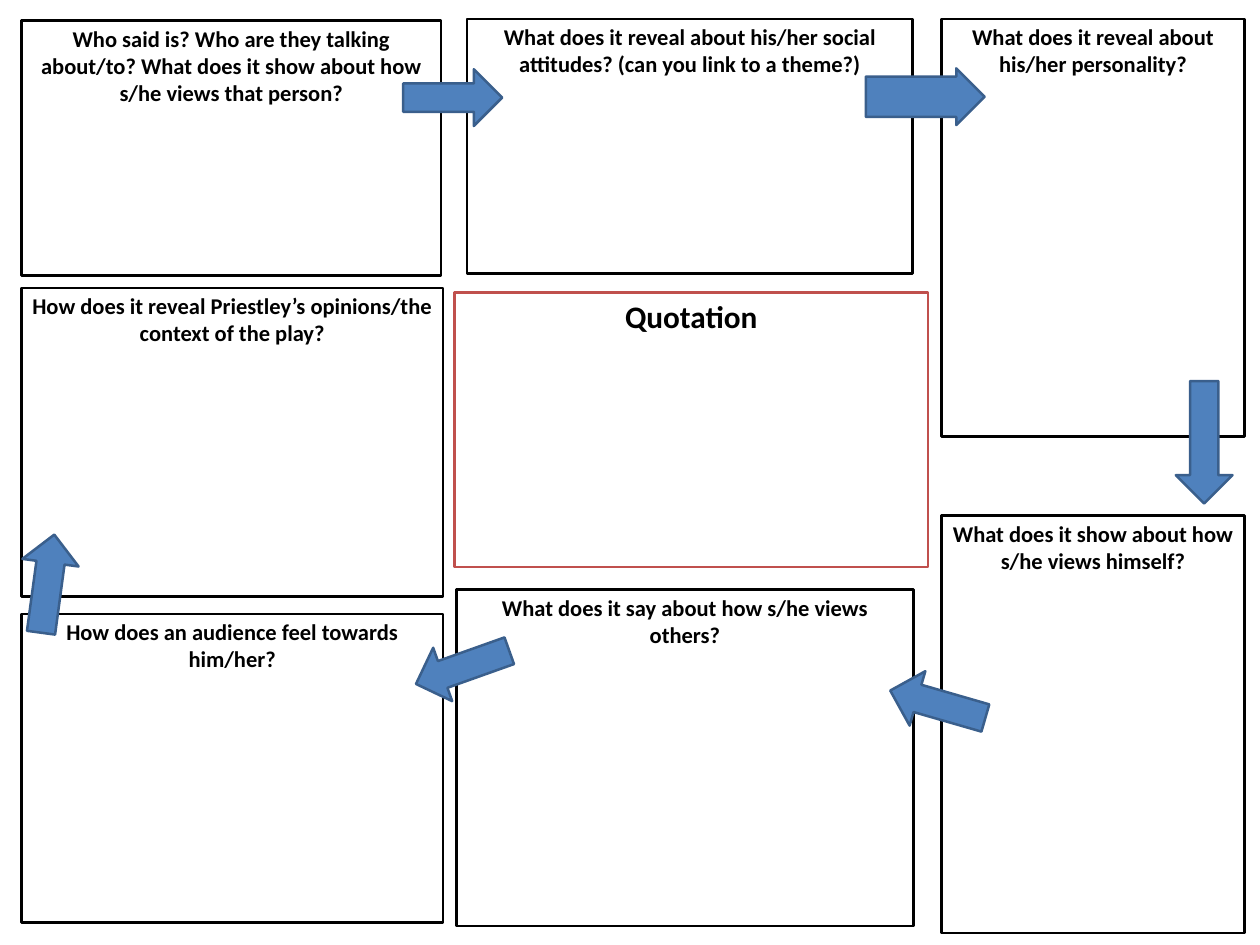
from pptx import Presentation
from pptx.dml.color import RGBColor
from pptx.enum.shapes import MSO_SHAPE
from pptx.enum.text import MSO_ANCHOR, PP_ALIGN
from pptx.util import Inches, Pt

RECTANGLE = MSO_SHAPE.RECTANGLE
RIGHT_ARROW = MSO_SHAPE.RIGHT_ARROW
TOP = MSO_ANCHOR.TOP
CENTER = PP_ALIGN.CENTER

FONT = "Calibri"
BLACK, WHITE, RED = "000000", "FFFFFF", "C0504D"
BLUE, DARK_BLUE = "4F81BD", "3A5F8C"
ARROW_HEIGHT = 0.63

# Question, left, top, width, height
QUESTIONS = [
    ("Who said is? Who are they talking about/to? What does it show about "
     "how s/he views that person?", 0.24, 0.23, 4.66, 2.83),
    ("What does it reveal about his/her social attitudes? "
     "(can you link to a theme?)", 5.19, 0.21, 4.95, 2.83),
    ("What does it reveal about his/her personality?", 10.46, 0.21, 3.37, 4.64),
    ("What does it show about how s/he views himself?", 10.46, 5.73, 3.37, 4.64),
    ("What does it say about how s/he views others?", 5.07, 6.55, 5.08, 3.74),
    ("How does an audience feel towards him/her?", 0.24, 6.82, 4.68, 3.43),
    ("How does it reveal Priestley’s opinions/the context of the play?",
     0.24, 3.2, 4.68, 3.43),
]

# Left, top, length, rotation, shaft thickness
ARROWS = [
    (4.48, 0.77, 1.1, 0, 0.5),
    (9.62, 0.76, 1.32, 0, 0.71),
    (12.7, 4.6, 1.36, 90, 0.5),
    (9.87, 7.51, 1.1, 196.1, 0.5),
    (4.59, 7.1, 1.1, 160.4, 0.5),
    (-0.02, 6.17, 1.1, 277.7, 0.5),
]


def color(hex_value):
    return RGBColor.from_string(hex_value)


def add_outlined(slide, kind, left, top, width, height, fill, line):
    shape = slide.shapes.add_shape(
        kind, Inches(left), Inches(top), Inches(width), Inches(height))
    shape.shadow.inherit = False
    shape.fill.solid()
    shape.fill.fore_color.rgb = color(fill)
    shape.line.color.rgb = color(line)
    shape.line.width = Pt(2)
    return shape


def add_box(slide, text, left, top, width, height, line=BLACK, size=18):
    box = add_outlined(slide, RECTANGLE, left, top, width, height, WHITE, line)
    frame = box.text_frame
    frame.word_wrap = True
    frame.vertical_anchor = TOP
    frame.text = text
    paragraph = frame.paragraphs[0]
    paragraph.alignment = CENTER
    font = paragraph.font
    font.name = FONT
    font.size = Pt(size)
    font.bold = True
    font.color.rgb = color(BLACK)


def add_arrow(slide, left, top, length, rotation, shaft):
    arrow = add_outlined(slide, RIGHT_ARROW, left, top, length, ARROW_HEIGHT,
                         BLUE, DARK_BLUE)
    arrow.adjustments[0] = shaft
    arrow.rotation = rotation


def main():
    prs = Presentation()
    prs.slide_width = Inches(14)
    prs.slide_height = Inches(10.5)
    slide = prs.slides.add_slide(prs.slide_layouts[6])

    # Quotation in the middle
    add_box(slide, "Quotation", 5.05, 3.25, 5.26, 3.05, line=RED, size=25)

    # Questions around it
    for question in QUESTIONS:
        add_box(slide, *question)

    # Clockwise arrows between the questions
    for arrow in ARROWS:
        add_arrow(slide, *arrow)

    prs.save("out.pptx")


main()
